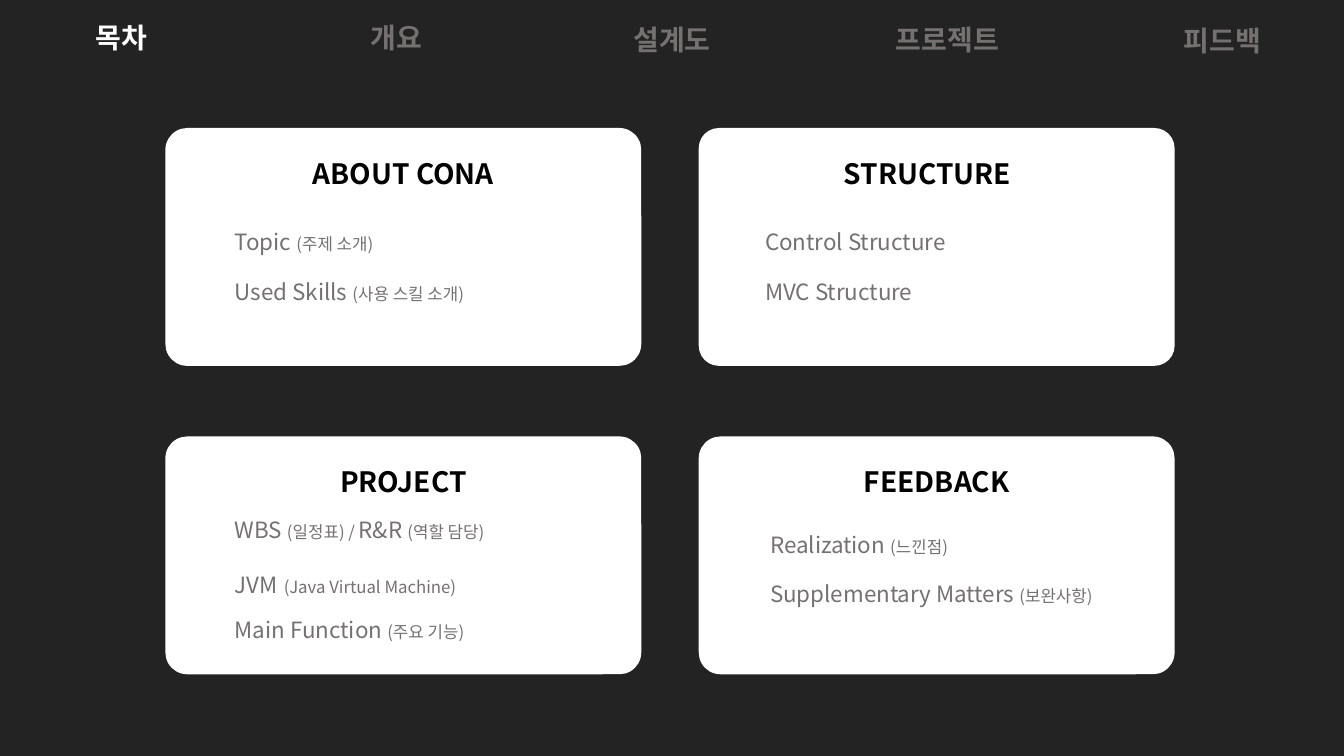
from pptx import Presentation
from pptx.dml.color import RGBColor
from pptx.enum.shapes import MSO_SHAPE
from pptx.enum.text import MSO_ANCHOR, MSO_AUTO_SIZE, PP_ALIGN
from pptx.util import Inches, Pt
from lxml import etree

ROUND = MSO_SHAPE.ROUNDED_RECTANGLE
LEFT, CENTER = PP_ALIGN.LEFT, PP_ALIGN.CENTER
FRAME = {"word_wrap": True, "vertical_anchor": MSO_ANCHOR.TOP,
         "auto_size": MSO_AUTO_SIZE.SHAPE_TO_FIT_TEXT}
FONT = "Noto Sans CJK KR"
COLORS = {"back": "232323", "card": "FFFFFF", "active": "FFFFFF",
          "head": "000000", "muted": "767171"}

# Content: tabs as (text, top)
TABS = [("목차", 0.15), ("개요", 0.15), ("설계도", 0.17),
        ("프로젝트", 0.17), ("피드백", 0.18)]

# Cards in reading order; each line is (top, width, height, [(text, size), ...])
CARDS = [
    {"head": "ABOUT CONA", "head_x": 2.64, "list_x": 2.23, "round": 0.092, "lines": [
        (2.21, 2.72, 0.37, [("Topic ", 16), ("(주제 소개)", 12)]),
        (2.71, 2.72, 0.37, [("Used Skills ", 16), ("(사용 스킬 소개)", 12)])]},
    {"head": "STRUCTURE", "head_x": 7.84, "list_x": 7.49, "round": 0.085, "lines": [
        (2.21, 2.72, 0.37, [("Control Structure", 16)]),
        (2.71, 2.72, 0.37, [("MVC Structure", 16)])]},
    {"head": "PROJECT", "head_x": 2.64, "list_x": 2.23, "round": 0.092, "lines": [
        (5.07, 2.96, 0.37, [("WBS ", 16), ("(일정표) / ", 12),
                            ("R&R ", 16), ("(역할 담당)", 12)]),
        (5.56, 2.72, 0.44, [("JVM", 16), (" ", 20), ("(Java Virtual Machine)", 12)]),
        (6.06, 2.96, 0.37, [("Main Function ", 16), ("(주요 기능)", 12)])]},
    {"head": "FEEDBACK", "head_x": 7.93, "list_x": 7.54, "round": 0.092, "lines": [
        (5.22, 2.72, 0.37, [("Realization ", 16), ("(느낀점)", 12)]),
        (5.71, 3.83, 0.37, [("Supplementary Matters ", 16), ("(보완사항)", 12)])]},
]

# Layout in inches
TAB_X, TAB_STEP, TAB_W, HEAD_W, HEAD_H = 0.18, 2.73, 2.05, 2.72, 0.44
CARD_X, CARD_Y, CARD_W, CARD_H = 1.64, 1.27, 4.72, 2.36
STEP_X, STEP_Y, HEAD_DY = 5.29, 3.06, 0.23


def rgb(name):
    return RGBColor.from_string(COLORS[name])


def write(shape, box, runs, color, bold=False, align=LEFT):
    """Place a text shape and fill it with sized runs."""
    shape.left, shape.top, shape.width, shape.height = map(Inches, box)
    frame = shape.text_frame
    for key, value in FRAME.items():
        setattr(frame, key, value)
    para = frame.paragraphs[0]
    para.alignment = align
    for text, size in runs:
        run = para.add_run()
        run.text = text
        for key, value in {"name": FONT, "size": Pt(size), "bold": bold}.items():
            setattr(run.font, key, value)
        run.font.color.rgb = rgb(color)
        # Korean glyphs take the East Asian typeface
        props = run.font._element
        latin = props.find("{*}latin")
        east = etree.Element(latin.tag.replace("latin", "ea"), typeface=FONT)
        latin.addnext(east)


def main():
    prs = Presentation()
    prs.slide_width, prs.slide_height = Inches(13.33), Inches(7.5)
    slide = prs.slides.add_slide(prs.slide_layouts[5])
    shapes = slide.shapes
    fill = slide.background.fill
    fill.solid()
    fill.fore_color.rgb = rgb("back")

    def add_text():
        return shapes.add_textbox(0, 0, 0, 0)

    # Tabs: the active one is the slide title
    for i, (text, top) in enumerate(TABS):
        box = (TAB_X + i * TAB_STEP, top, TAB_W, HEAD_H)
        tab = add_text() if i else shapes.title
        write(tab, box, [(text, 20)], "muted" if i else "active", True, CENTER)

    # Cards: two by two
    for i, card in enumerate(CARDS):
        row, col = divmod(i, 2)
        x, y = CARD_X + col * STEP_X, CARD_Y + row * STEP_Y
        panel = shapes.add_shape(ROUND, *map(Inches, (x, y, CARD_W, CARD_H)))
        panel.adjustments[0] = card["round"]
        panel.shadow.inherit = False
        panel.fill.solid()
        panel.fill.fore_color.rgb = rgb("card")
        panel.line.fill.background()
        write(add_text(), (card["head_x"], y + HEAD_DY, HEAD_W, HEAD_H),
              [(card["head"], 20)], "head", True, CENTER)
        for top, width, height, runs in card["lines"]:
            write(add_text(), (card["list_x"], top, width, height), runs, "muted")

    prs.save("out.pptx")


if __name__ == "__main__":
    main()
